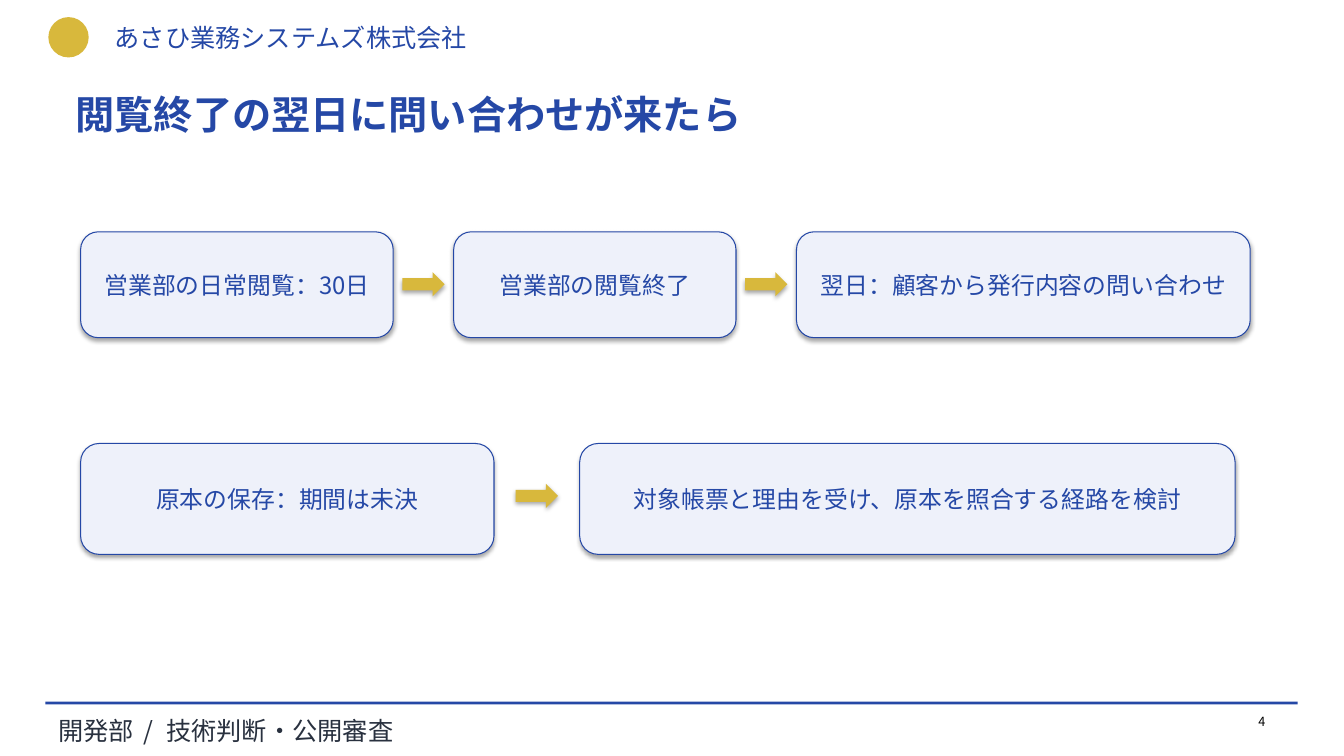
from dataclasses import dataclass

from lxml.etree import SubElement
from pptx import Presentation
from pptx.dml.color import RGBColor
from pptx.enum.shapes import MSO_SHAPE
from pptx.enum.text import MSO_ANCHOR, MSO_AUTO_SIZE, PP_ALIGN
from pptx.oxml.ns import qn
from pptx.util import Inches, Pt


@dataclass(frozen=True)
class Theme:
    font: str = "Noto Sans CJK JP"
    blue: str = "2548A6"
    gold: str = "D8B83C"
    pale: str = "EEF1FA"
    ink: str = "29313F"
    black: str = "000000"
    title: int = 28
    band: int = 18
    step: int = 17
    number: int = 9


THEME = Theme()
COLUMNS, ROWS = 133.3, 75  # grid cells of a tenth of an inch
ARROW_W, ARROW_H, ARROW_DROP = 4.2, 2.4, 4


def cells(*counts):
    return [Inches(n / 10) for n in counts]


def style(p, size, color, bold=False, align=PP_ALIGN.LEFT):
    p.alignment = align
    f = p.font
    f.name, f.size, f.bold = THEME.font, Pt(size), bold
    f.color.rgb = RGBColor.from_string(color)
    SubElement(p._p.pPr.find(qn("a:defRPr")), qn("a:ea"), typeface=THEME.font)


def add_block(slide, kind, box, fill, line=None, shadow=False):
    sp = slide.shapes.add_shape(kind, *cells(*box))
    sp.fill.solid()
    sp.fill.fore_color.rgb = RGBColor.from_string(fill)
    if line:
        sp.line.color.rgb = RGBColor.from_string(line)
        sp.line.width = Pt(0.75)
    else:
        sp.line.fill.background()
    if not shadow:  # otherwise the theme's soft shadow stays
        sp.shadow.inherit = False
    return sp


def add_label(slide, box, text, size, color, align=PP_ALIGN.LEFT):
    sp = slide.shapes.add_textbox(*cells(*box))
    p = sp.text_frame.paragraphs[0]
    p.add_run().text = text
    style(p, size, color, align=align)
    return p


def add_header(slide, box):
    left, top, width, height = box
    # Plain emblem, then the company name
    add_block(slide, MSO_SHAPE.OVAL, (left + 0.8, top, 4, 4), THEME.gold)
    add_label(slide, (left + 6.4, top, width, height),
              "あさひ業務システムズ株式会社", THEME.band, THEME.blue)


def add_title(slide, box):
    sp = slide.shapes.title
    sp.left, sp.top, sp.width, sp.height = cells(*box)
    tf = sp.text_frame
    tf.text = "閲覧終了の翌日に問い合わせが来たら"
    tf.vertical_anchor = MSO_ANCHOR.TOP
    tf.auto_size = MSO_AUTO_SIZE.NONE
    style(tf.paragraphs[0], THEME.title, THEME.blue, bold=True)


def add_flow(slide, box, steps, gap):
    """Boxes of the given widths in a row, with an arrow centred in each gap."""
    left, top, height = box
    for i, (text, width) in enumerate(steps):
        if i:
            arrow_left = left - gap + (gap - ARROW_W) / 2
            add_block(slide, MSO_SHAPE.RIGHT_ARROW,
                      (arrow_left, top + ARROW_DROP, ARROW_W, ARROW_H),
                      THEME.gold, shadow=True)
        sp = add_block(slide, MSO_SHAPE.ROUNDED_RECTANGLE,
                       (left, top, width, height), THEME.pale, THEME.blue, shadow=True)
        tf = sp.text_frame
        tf.text = text
        tf.vertical_anchor = MSO_ANCHOR.MIDDLE
        p = tf.paragraphs[0]
        p.space_after = Pt(10)
        style(p, THEME.step, THEME.blue, align=PP_ALIGN.CENTER)
        left += width + gap


def add_footer(slide, box):
    left, top, width = box
    add_block(slide, MSO_SHAPE.RECTANGLE, (left, top, width, 0.3), THEME.blue)
    # Department and topic, with a widely spaced slash
    p = add_label(slide, (left + 0.3, top + 0.9, 100, 2.6),
                  "開発部", THEME.band, THEME.ink)
    slash = p.add_run()
    slash.text = " / "
    slash.font._element.set("spc", "270")
    p.add_run().text = "技術判断・公開審査"
    # Page number
    add_label(slide, (left + width - 8.2, top + 0.7, 6, 3), "4",
              THEME.number, THEME.black, PP_ALIGN.RIGHT)


def main():
    prs = Presentation()
    prs.slide_width, prs.slide_height = cells(COLUMNS, ROWS)
    slide = prs.slides.add_slide(prs.slide_layouts[5])

    add_header(slide, (4, 1.7, 70, 3.4))
    add_footer(slide, (4.5, 69.6, 124.2))
    add_title(slide, (6.5, 8.5, 120, 10))
    # What happens in sales
    add_flow(slide, (8, 23, 10.5), [
        ("営業部の日常閲覧：30日", 31),
        ("営業部の閲覧終了", 28),
        ("翌日：顧客から発行内容の問い合わせ", 45),
    ], gap=6)
    # What happens to the source records
    add_flow(slide, (8, 44, 11), [
        ("原本の保存：期間は未決", 41),
        ("対象帳票と理由を受け、原本を照合する経路を検討", 65),
    ], gap=8.5)

    prs.save("out.pptx")


if __name__ == "__main__":
    main()
